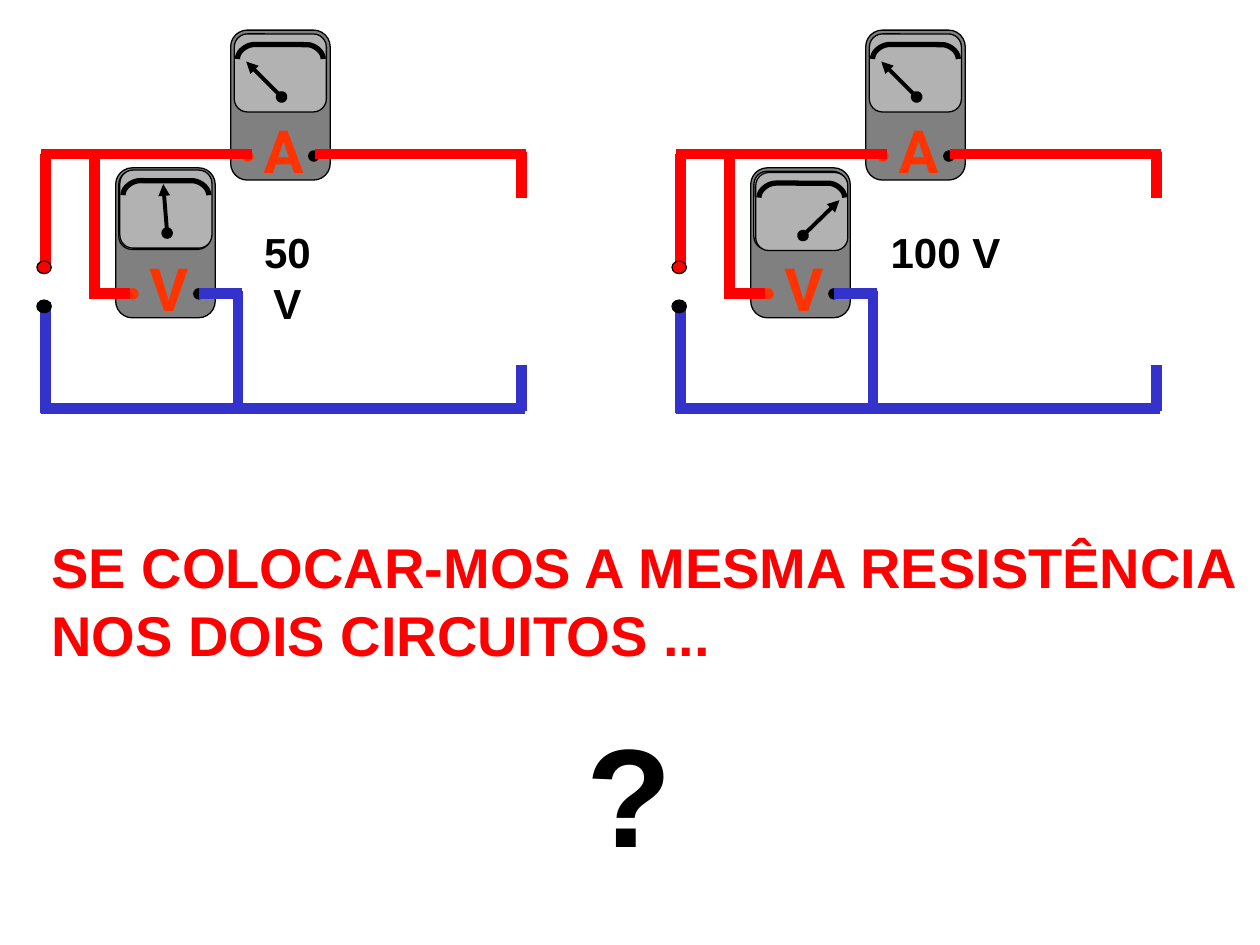
import pptx
import pptx.util
import pptx.dml.color
import pptx.enum.shapes
import pptx.enum.text
import pptx.oxml.ns
import lxml.etree

Pt = pptx.util.Pt
RGBColor = pptx.dml.color.RGBColor
SHAPE = pptx.enum.shapes.MSO_SHAPE
ALIGN = pptx.enum.text.PP_ALIGN
qn = pptx.oxml.ns.qn

RED = RGBColor(0xFF, 0x00, 0x00)
ORANGE = RGBColor(0xFF, 0x33, 0x00)
BLUE = RGBColor(0x33, 0x33, 0xCC)
BLACK = RGBColor(0x00, 0x00, 0x00)
BODY_GRAY = RGBColor(0x80, 0x80, 0x80)
SCREEN_GRAY = RGBColor(0xB2, 0xB2, 0xB2)

CIRCUIT_PITCH = 362.9
BODY_SIZE = (56.9, 85.7)
SCREEN_SIZE = (52.6, 44.6)
AMMETER = (131.8, 17.2)
VOLTMETER = (66.1, 95.9)
LOW_READING = (-20.2, -20.2)
MIDDLE_READING = (-2.2, -28)
HIGH_READING = (20.8, -20.2)


def corner_curve(start, control_1, control_2, end, steps=10):
    """Return points along a cubic curve, the start left out."""
    points = []
    for step in range(1, steps + 1):
        t = step / steps
        weights = ((1 - t) ** 3, 3 * t * (1 - t) ** 2, 3 * t * t * (1 - t), t ** 3)
        corners = (start, control_1, control_2, end)
        points.append(tuple(sum(w * corner[axis] for w, corner in zip(weights, corners))
                            for axis in (0, 1)))
    return points


class CircuitSlide:
    def __init__(self, slide):
        self.slide = slide
        self.font = "Arial"
        self.letter_font = "Roboto"
        self.outline_width = 0.75
        self.wire_width = 6
        self.needle_width = 2.25
        self.scale_width = 3

    def outlined(self, kind, left, top, size, fill, line=BLACK):
        shape = self.slide.shapes.add_shape(kind, Pt(left), Pt(top), Pt(size[0]), Pt(size[1]))
        shape.shadow.inherit = False
        shape.fill.solid()
        shape.fill.fore_color.rgb = fill
        shape.line.color.rgb = line
        shape.line.width = Pt(self.outline_width)
        return shape

    def rounded(self, left, top, size, fill):
        shape = self.outlined(SHAPE.ROUNDED_RECTANGLE, left, top, size, fill)
        shape.adjustments[0] = 0.167

    def dot(self, left, top, size, fill, line=BLACK):
        self.outlined(SHAPE.OVAL, left, top, size, fill, line)

    def line(self, start, end, color, width):
        connector = self.slide.shapes.add_connector(
            pptx.enum.shapes.MSO_CONNECTOR.STRAIGHT,
            Pt(start[0]), Pt(start[1]), Pt(end[0]), Pt(end[1]))
        connector.line.color.rgb = color
        connector.line.width = Pt(width)
        lxml.etree.SubElement(connector._element.spPr, qn("a:effectLst"))
        return connector

    def wire(self, x1, y1, x2, y2, color):
        self.line((x1, y1), (x2, y2), color, self.wire_width)

    def text(self, left, top, width, height, lines, size, color,
             font=None, align=ALIGN.LEFT, spacing=None):
        box = self.slide.shapes.add_textbox(Pt(left), Pt(top), Pt(width), Pt(height))
        frame = box.text_frame
        frame.word_wrap = False
        frame.auto_size = pptx.enum.text.MSO_AUTO_SIZE.SHAPE_TO_FIT_TEXT
        frame.text = lines
        for paragraph in frame.paragraphs:
            paragraph.alignment = align
            paragraph.line_spacing = spacing
            for run in paragraph.runs:
                run.font.name = font or self.font
                run.font.size = Pt(size)
                run.font.bold = True
                run.font.color.rgb = color

    def scale(self, left, top):
        """Draw the curved scale across the top of a meter's screen."""
        points = corner_curve((0, 8.3), (0, 4), (5, 0), (10, 0))
        points += corner_curve((39, 0), (44, 0), (49, 4), (49, 8.3))
        builder = self.slide.shapes.build_freeform(Pt(left), Pt(top + 8.3))
        builder.add_line_segments([(Pt(left + x), Pt(top + y)) for x, y in points], close=False)
        shape = builder.convert_to_shape()
        shape.shadow.inherit = False
        shape.fill.background()
        shape.line.color.rgb = BLACK
        shape.line.width = Pt(self.scale_width)

    def needle(self, pivot_x, pivot_y, reading):
        tip = (pivot_x + reading[0], pivot_y + reading[1])
        connector = self.line((pivot_x, pivot_y), tip, BLACK, self.needle_width)
        outline = connector.line._get_or_add_ln()
        for end, kind in (("a:headEnd", "oval"), ("a:tailEnd", "triangle")):
            lxml.etree.SubElement(outline, qn(end)).set("type", kind)

    def dial(self, left, top, reading):
        self.rounded(left, top, SCREEN_SIZE, SCREEN_GRAY)
        self.scale(left + 1.8, top + 6)
        self.needle(left + 27, top + 36, reading)

    def meter_body(self, left, top, letter):
        self.rounded(left, top, BODY_SIZE, BODY_GRAY)
        for offset, color in ((6.9, ORANGE), (44.6, BLACK)):
            self.dot(left + offset, top + 69.1, (5.8, 5.8), color, color)
        self.text(left + 11.6, top + 52.2, 37.4, 40.3, letter, 34, ORANGE,
                  self.letter_font, ALIGN.CENTER, 0.8)

    def circuit(self, left, reading, dial_shift):
        ammeter_x, ammeter_y = left + AMMETER[0], AMMETER[1]
        self.meter_body(ammeter_x, ammeter_y, "A")
        self.dial(ammeter_x + 2.1, ammeter_y + 2.2, LOW_READING)

        for x1, y1, x2, y2, color in (
                (25.9, 87.8, 25.9, 151.2, RED),
                (25.9, 172.8, 25.9, 236.2, BLUE),
                (298.1, 208.8, 298.1, 234.7, BLUE),
                (298.1, 87.1, 298.1, 113, RED),
                (54, 89.3, 54, 170.6, RED),
                (136, 166.3, 136, 235.4, BLUE),
                (23.2, 88, 144, 88, RED),
                (23.2, 233.3, 300.2, 233.3, BLUE),
                (180, 88, 300.8, 88, RED)):
            self.wire(left + x1, y1, left + x2, y2, color)
        for top, color in ((149.2, RED), (171.5, BLACK)):
            self.dot(left + 21.1, top, (8.2, 7.2), color)

        voltmeter_x, voltmeter_y = left + VOLTMETER[0], VOLTMETER[1]
        self.meter_body(voltmeter_x, voltmeter_y, "V")
        self.rounded(voltmeter_x + 1.8, voltmeter_y + 2, SCREEN_SIZE, SCREEN_GRAY)
        self.wire(left + 54, 167.8, left + 74.2, 167.8, RED)
        self.wire(left + 113.8, 167.8, left + 138.2, 167.8, BLUE)
        self.dial(voltmeter_x + dial_shift[0], voltmeter_y + dial_shift[1], reading)


def main():
    presentation = pptx.Presentation()
    presentation.slide_width = Pt(720)
    presentation.slide_height = Pt(540)
    page = CircuitSlide(presentation.slides.add_slide(presentation.slide_layouts[6]))

    page.circuit(0, MIDDLE_READING, (2.4, 1.3))
    page.circuit(CIRCUIT_PITCH, HIGH_READING, (2.9, 2.7))

    page.text(22.3, 301, 696.2, 84.2,
              "SE COLOCAR-MOS A MESMA RESISTÊNCIA\nNOS DOIS CIRCUITOS ...", 32, RED)
    page.text(328.3, 401, 63.4, 103.7, "?", 80, BLACK)
    page.text(132.5, 126, 63.4, 36, "50 V", 24, BLACK, align=ALIGN.CENTER)
    page.text(501.8, 126, 77, 36, "100 V", 24, BLACK, align=ALIGN.CENTER)

    presentation.save("out.pptx")


if __name__ == "__main__":
    main()
